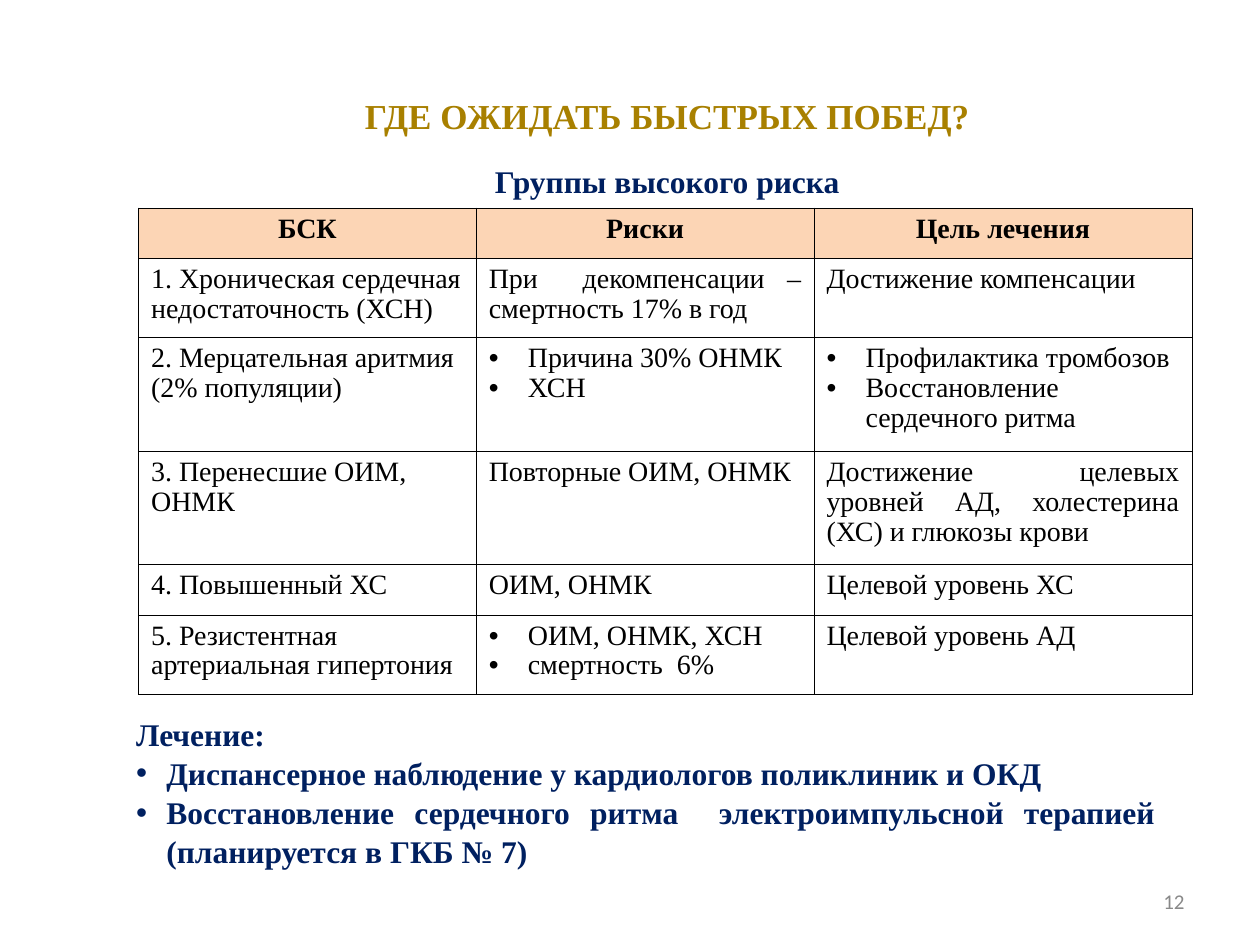
from lxml import etree
from pptx import Presentation
from pptx.dml.color import RGBColor
from pptx.enum import text as t
from pptx.oxml import ns
from pptx.util import Inches, Pt

SERIF = "Times New Roman"
GOLD, NAVY, BLACK, GRAY = "A88000", "002060", "000000", "898989"
PEACH, WHITE = "FCD5B5", "FFFFFF"
LEFT, CENTER, RIGHT, JUSTIFY = (
    t.PP_ALIGN.LEFT, t.PP_ALIGN.CENTER, t.PP_ALIGN.RIGHT, t.PP_ALIGN.JUSTIFY)

COLUMNS = [2.68, 2.68, 3]
ROWS = [0.4, 0.63, 0.9, 0.9, 0.4, 0.63]
RISK_GROUPS = [
    ["БСК", "Риски", "Цель лечения"],
    ["1. Хроническая сердечная недостаточность (ХСН)",
     "При  декомпенсации – смертность 17% в год",
     "Достижение компенсации"],
    ["2. Мерцательная аритмия (2% популяции)",
     ["Причина 30% ОНМК", "ХСН"],
     ["Профилактика тромбозов", "Восстановление сердечного ритма"]],
    ["3. Перенесшие ОИМ, ОНМК",
     "Повторные ОИМ, ОНМК",
     "Достижение целевых уровней АД, холестерина (ХС) и глюкозы крови"],
    ["4. Повышенный ХС", "ОИМ, ОНМК", "Целевой уровень ХС"],
    ["5. Резистентная артериальная гипертония",
     ["ОИМ, ОНМК, ХСН", "смертность  6%"],
     "Целевой уровень АД"],
]
TREATMENT = [
    "Лечение:",
    "Диспансерное наблюдение у кардиологов поликлиник и ОКД",
    "Восстановление сердечного ритма  электроимпульсной терапией  "
    "(планируется в ГКБ № 7)",
]


def color(value):
    return RGBColor.from_string(value)


def format_para(para, size, ink, align, bold=False, font=SERIF, spacing=1.0):
    para.alignment = align
    para.line_spacing = spacing
    para.space_before = para.space_after = Pt(0)
    for span in para.runs:
        span.font.name = font
        span.font.size = Pt(size)
        span.font.bold = bold
        span.font.color.rgb = color(ink)


def set_bullet(para, indent, char=None):
    props = para._p.get_or_add_pPr()
    props.set("marL", str(Inches(indent)))
    props.set("indent", str(-Inches(indent)))
    if char:
        etree.SubElement(props, ns.qn("a:buFont")).set("typeface", "Arial")
        etree.SubElement(props, ns.qn("a:buChar")).set("char", char)
    else:
        etree.SubElement(props, ns.qn("a:buNone"))


def place(shape, box):
    shape.left, shape.top, shape.width, shape.height = map(Inches, box)
    frame = shape.text_frame
    frame.word_wrap = True
    frame.auto_size = t.MSO_AUTO_SIZE.NONE
    frame.vertical_anchor = t.MSO_ANCHOR.TOP
    return frame


def add_title(page, box):
    frame = place(page.shapes.title, box)
    frame.margin_left = frame.margin_right = Inches(0.07)
    frame.margin_top = frame.margin_bottom = Inches(0.04)
    frame.text = "ГДЕ ОЖИДАТЬ БЫСТРЫХ ПОБЕД?"
    format_para(frame.paragraphs[0], 20, GOLD, CENTER, bold=True)


def add_label(page, box, label, size, ink, align, **style):
    frame = place(page.shapes.add_textbox(0, 0, 0, 0), box)
    frame.text = label
    format_para(frame.paragraphs[0], size, ink, align, **style)
    return frame


def add_borders(cell):
    props = cell._tc.get_or_add_tcPr()
    for index, side in enumerate(("lnL", "lnR", "lnT", "lnB")):
        line = etree.Element(ns.qn(f"a:{side}"), w=str(Pt(0.45)))
        fill = etree.SubElement(line, ns.qn("a:solidFill"))
        etree.SubElement(fill, ns.qn("a:srgbClr")).set("val", BLACK)
        props.insert(index, line)


def fill_cell(cell, content, is_header, is_first):
    bulleted = isinstance(content, list)
    cell.text = "\n".join(content) if bulleted else content
    cell.fill.solid()
    cell.fill.fore_color.rgb = color(PEACH if is_header else WHITE)
    add_borders(cell)
    align = CENTER if is_header else LEFT if is_first else JUSTIFY
    for para in cell.text_frame.paragraphs:
        format_para(para, 16, BLACK, align, bold=is_header, spacing=0.96)
        if bulleted:
            set_bullet(para, 0.31, "•")


def add_risk_table(page, box):
    frame = page.shapes.add_table(len(ROWS), len(COLUMNS), *map(Inches, box))
    table = frame.table
    for column, width in zip(table.columns, COLUMNS):
        column.width = Inches(width)
    for row, height in zip(table.rows, ROWS):
        row.height = Inches(height)
    for r, contents in enumerate(RISK_GROUPS):
        for c, content in enumerate(contents):
            fill_cell(table.cell(r, c), content, r == 0, c == 0)


def add_treatment(page, box):
    frame = place(page.placeholders[1], box)
    frame.text = "\n".join(TREATMENT)
    for index, para in enumerate(frame.paragraphs):
        format_para(para, 18, NAVY, JUSTIFY if index else LEFT,
                    bold=True, spacing=1.04)
        if index:
            set_bullet(para, 0.24, "•")
        else:
            set_bullet(para, 0)


def main():
    deck = Presentation()
    deck.slide_width, deck.slide_height = Inches(10), Inches(7.5)
    page = deck.slides.add_slide(deck.slide_layouts[1])
    add_title(page, (1.13, 0.71, 8.33, 0.44))
    add_label(page, (1.13, 1.24, 8.33, 0.4), "Группы высокого риска",
              18, NAVY, CENTER, bold=True)
    add_risk_table(page, (1.1, 1.65, sum(COLUMNS), sum(ROWS)))
    add_treatment(page, (0.98, 5.61, 8.45, 1.3))
    number = add_label(page, (7.17, 6.95, 2.33, 0.4), "12",
                       12, GRAY, RIGHT, font="Calibri")
    number.vertical_anchor = t.MSO_ANCHOR.MIDDLE
    deck.save("out.pptx")


if __name__ == "__main__":
    main()
